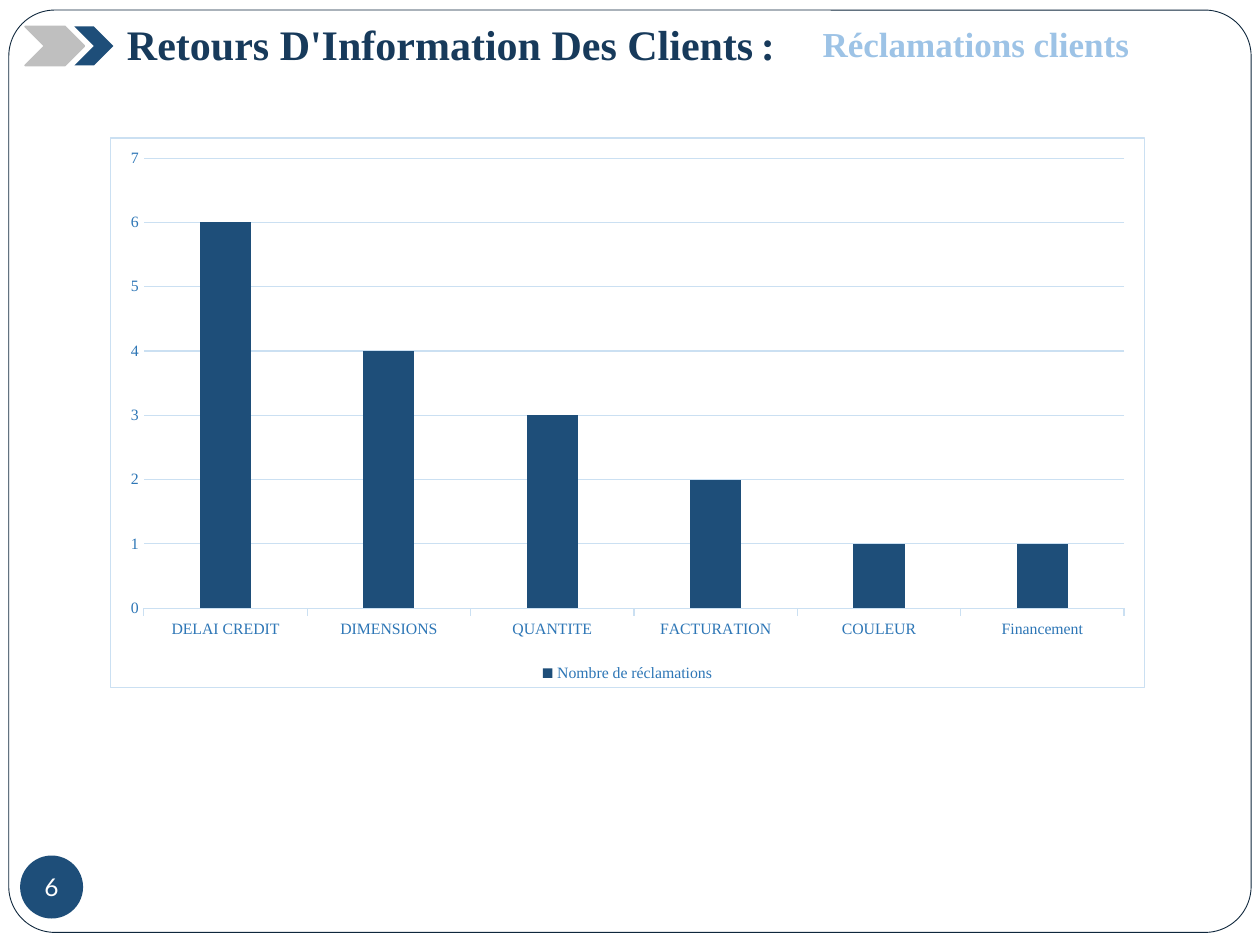
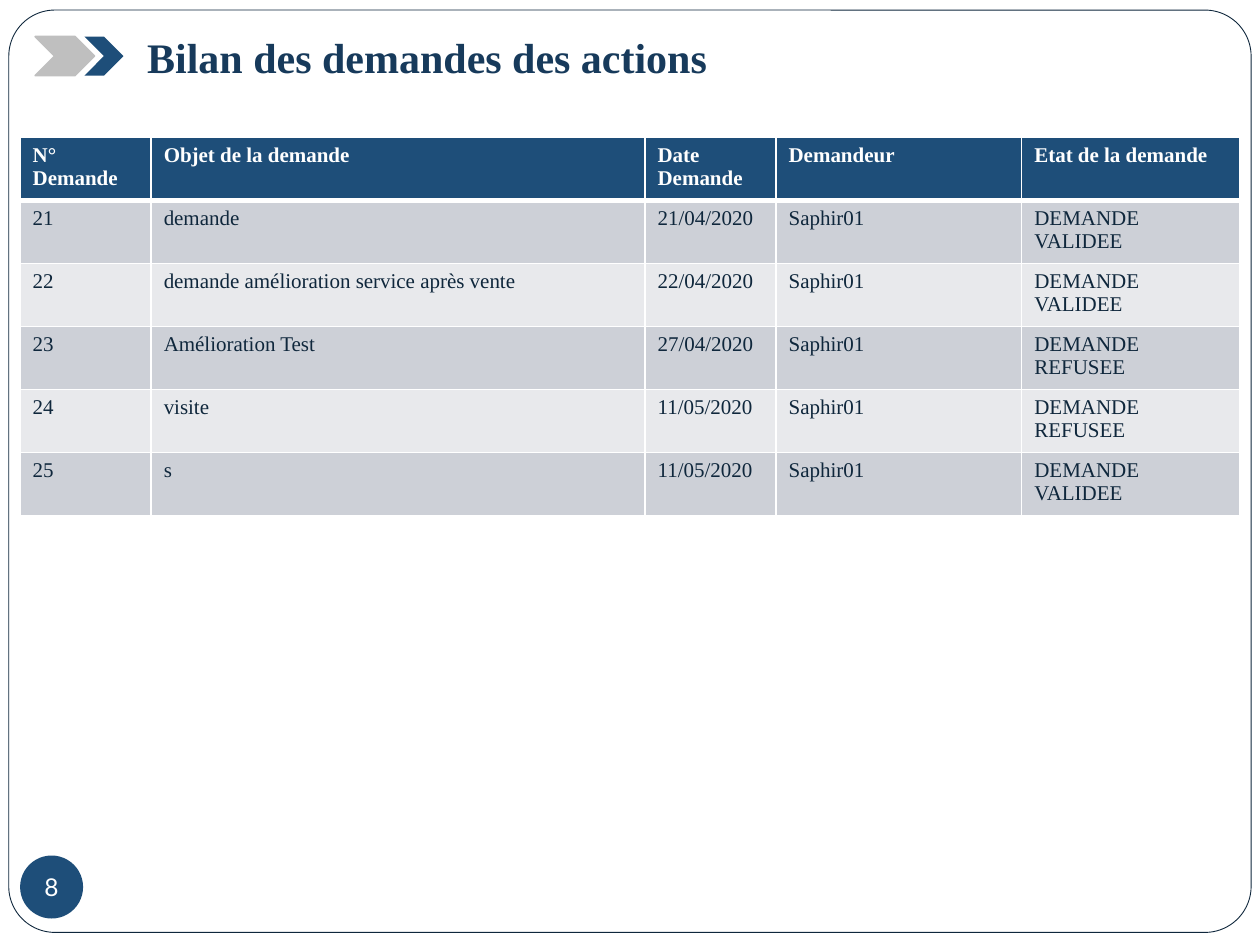
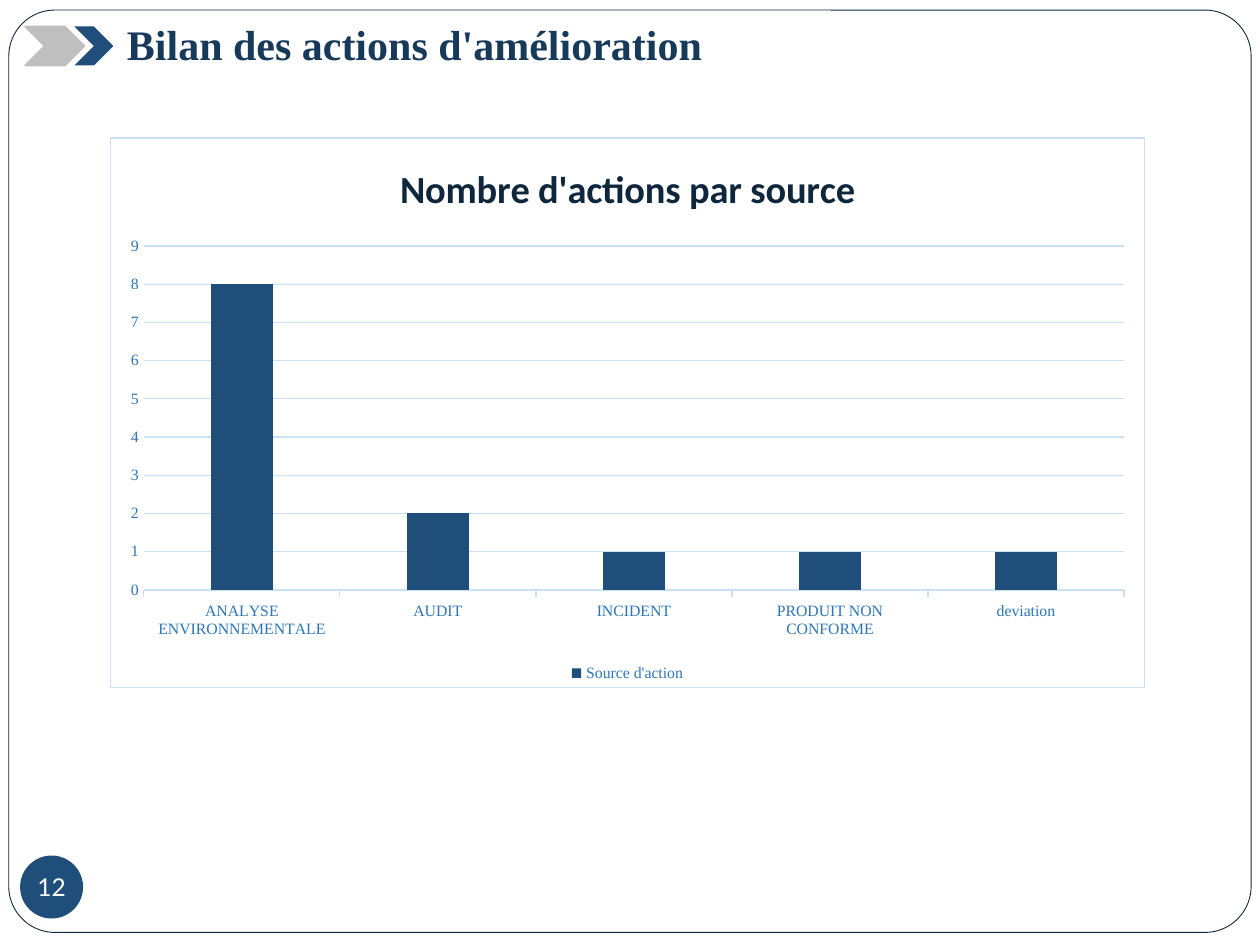
import pptx
import pptx.chart.data
import pptx.dml.color
import pptx.enum.chart
import pptx.enum.shapes
import pptx.enum.text
import pptx.oxml
import pptx.util
from pptx.util import Inches

# Shared look
SERIF = "Times New Roman"
NAVY = "1E4E79"
INK = "0F273C"
TITLE = "173A5B"
SKY = "9DC3E6"
GREY = "BFBFBF"
WHITE = "FFFFFF"
LABEL = "2D76B6"
GRID = "CBE0F2"
BANDS = ["CDD0D7", "E8E9EC"]
KIND = pptx.enum.shapes.MSO_SHAPE
NS = 'xmlns:a="http://schemas.openxmlformats.org/drawingml/2006/main"'
CHART_NS = 'xmlns:c="http://schemas.openxmlformats.org/drawingml/2006/chart"'


def color(code):
    return pptx.dml.color.RGBColor.from_string(code)


def paint(fill, code):
    fill.solid()
    fill.fore_color.rgb = color(code)


def stroke(line, code, width):
    paint(line.fill, code)
    line.width = pptx.util.Pt(width)


def style(font, size, code, name=SERIF, bold=False):
    font.size = pptx.util.Pt(size)
    font.name = name
    font.bold = bold
    font.color.rgb = color(code)


def shape(slide, kind, left, top, width, height, fill, line=None):
    item = slide.shapes.add_shape(
        kind, Inches(left), Inches(top), Inches(width), Inches(height))
    item.shadow.inherit = False
    paint(item.fill, fill)
    if line:
        stroke(item.line, *line)
    else:
        item.line.fill.background()
    return item


def label(slide, text, left, top, width, size=24, code=TITLE):
    height = 0.5 if size == 24 else 0.44
    box = slide.shapes.add_textbox(
        Inches(left), Inches(top), Inches(width), Inches(height))
    box.text_frame.word_wrap = True
    para = box.text_frame.paragraphs[0]
    para.text = text
    style(para.font, size, code, bold=True)


# Frame, page number and arrows on every slide
def base(deck, number, left=0.2, top=0.21):
    slide = deck.slides.add_slide(deck.slide_layouts[6])
    frame = shape(slide, KIND.ROUNDED_RECTANGLE, 0.07, 0.08, 9.86, 7.32,
                  WHITE, (INK, 0.5))
    frame.adjustments[0] = 0.05
    shape(slide, KIND.CHEVRON, left, top, 0.47, 0.31, GREY, (GREY, 1))
    shape(slide, KIND.CHEVRON, left + 0.39, top, 0.31, 0.31, NAVY)
    badge = shape(slide, KIND.OVAL, 0.16, 6.79, 0.5, 0.5, NAVY)
    text = badge.text_frame
    text.margin_left = text.margin_right = 0
    text.margin_top = text.margin_bottom = 0
    text.word_wrap = False
    text.vertical_anchor = pptx.enum.text.MSO_ANCHOR.MIDDLE
    para = text.paragraphs[0]
    para.text = str(number)
    para.alignment = pptx.enum.text.PP_ALIGN.CENTER
    style(para.font, 14, WHITE, "Lato")
    return slide


# Column chart
def border(chart):
    node = pptx.oxml.parse_xml(
        f'<c:spPr {CHART_NS} {NS}>'
        f'<a:solidFill><a:srgbClr val="{WHITE}"/></a:solidFill>'
        f'<a:ln w="{pptx.util.Pt(0.75)}"><a:solidFill>'
        f'<a:srgbClr val="{GRID}"/></a:solidFill></a:ln></c:spPr>')
    chart.element.chart.addnext(node)


def columns(slide, name, counts, top, title=None):
    data = pptx.chart.data.CategoryChartData()
    data.categories = list(counts)
    data.add_series(name, list(counts.values()))
    chart = slide.shapes.add_chart(
        pptx.enum.chart.XL_CHART_TYPE.COLUMN_CLUSTERED,
        Inches(0.87), Inches(1.09), Inches(8.22), Inches(4.37), data).chart
    style(chart.font, 10, INK)
    border(chart)
    chart.has_title = title is not None
    if title:
        chart.chart_title.include_in_layout = False
        para = chart.chart_title.text_frame.paragraphs[0]
        para.text = title
        style(para.font, 22, INK, "Calibri", True)

    chart.has_legend = True
    chart.legend.position = pptx.enum.chart.XL_LEGEND_POSITION.BOTTOM
    chart.legend.include_in_layout = False
    style(chart.legend.font, 9, LABEL)

    plot = chart.plots[0]
    plot.vary_by_categories = False
    plot.gap_width = 219
    plot.overlap = -27
    paint(plot.series[0].format.fill, NAVY)

    marks = pptx.enum.chart.XL_TICK_MARK
    groups, values = chart.category_axis, chart.value_axis
    for axis in (groups, values):
        style(axis.tick_labels.font, 9, LABEL)
        axis.minor_tick_mark = marks.NONE
    groups.major_tick_mark = marks.OUTSIDE
    stroke(groups.format.line, GRID, 0.75)
    values.major_tick_mark = marks.NONE
    values.format.line.fill.background()
    values.minimum_scale = 0
    values.maximum_scale = top
    values.major_unit = 1
    stroke(values.major_gridlines.format.line, GRID, 0.75)


# Table
def edges(cell, base_width):
    widths = {"L": 1, "R": 1, "T": 1, "B": base_width}
    for side, width in widths.items():
        cell._tc.get_or_add_tcPr().append(pptx.oxml.parse_xml(
            f'<a:ln{side} {NS} w="{pptx.util.Pt(width)}"><a:solidFill>'
            f'<a:srgbClr val="{WHITE}"/></a:solidFill></a:ln{side}>'))


def table(slide, widths, rows):
    grid = slide.shapes.add_table(
        len(rows), len(widths), Inches(0.16), Inches(1.09),
        Inches(sum(widths)), Inches(0.5 * len(rows))).table
    for col, width in zip(grid.columns, widths):
        col.width = Inches(width)
    for i, row in enumerate(rows):
        head = i == 0
        for j, text in enumerate(row):
            cell = grid.cell(i, j)
            edges(cell, 3 if head else 1)
            paint(cell.fill, NAVY if head else BANDS[(i - 1) % 2])
            para = cell.text_frame.paragraphs[0]
            para.text = text
            style(para.font, 12, WHITE if head else INK, bold=head)


def main():
    deck = pptx.Presentation()
    deck.slide_width = Inches(10)
    deck.slide_height = Inches(7.5)

    # Client complaints
    slide = base(deck, 6)
    label(slide, "Retours D'Information Des Clients", 0.91, 0.1, 5.4)
    label(slide, ":", 5.94, 0.1, 0.35)
    label(slide, "Réclamations clients", 6.43, 0.13, 3.4, 20, SKY)
    columns(slide, "Nombre de réclamations", {
        "DELAI CREDIT": 6, "DIMENSIONS": 4, "QUANTITE": 3,
        "FACTURATION": 2, "COULEUR": 1, "Financement": 1}, 7)

    # Requests for action
    slide = base(deck, 8, 0.28, 0.29)
    label(slide, "Bilan des demandes des actions", 1.07, 0.2, 8.54)
    user, valid, refused = "Saphir01", "DEMANDE VALIDEE", "DEMANDE REFUSEE"
    table(slide, [1.04, 3.92, 1.04, 1.95, 1.73], [
        ["N° Demande", "Objet de la demande", "Date Demande", "Demandeur",
         "Etat de la demande"],
        ["21", "demande", "21/04/2020", user, valid],
        ["22", "demande amélioration service après vente", "22/04/2020",
         user, valid],
        ["23", "Amélioration Test", "27/04/2020", user, refused],
        ["24", "visite", "11/05/2020", user, refused],
        ["25", "s", "11/05/2020", user, valid]])

    # Actions by source
    slide = base(deck, 12)
    label(slide, "Bilan des actions d'amélioration", 0.91, 0.1, 6.53)
    columns(slide, "Source d'action", {
        "ANALYSE ENVIRONNEMENTALE": 8, "AUDIT": 2, "INCIDENT": 1,
        "PRODUIT NON CONFORME": 1, "deviation": 1}, 9,
        "Nombre d'actions par source")

    deck.save("out.pptx")


if __name__ == "__main__":
    main()
